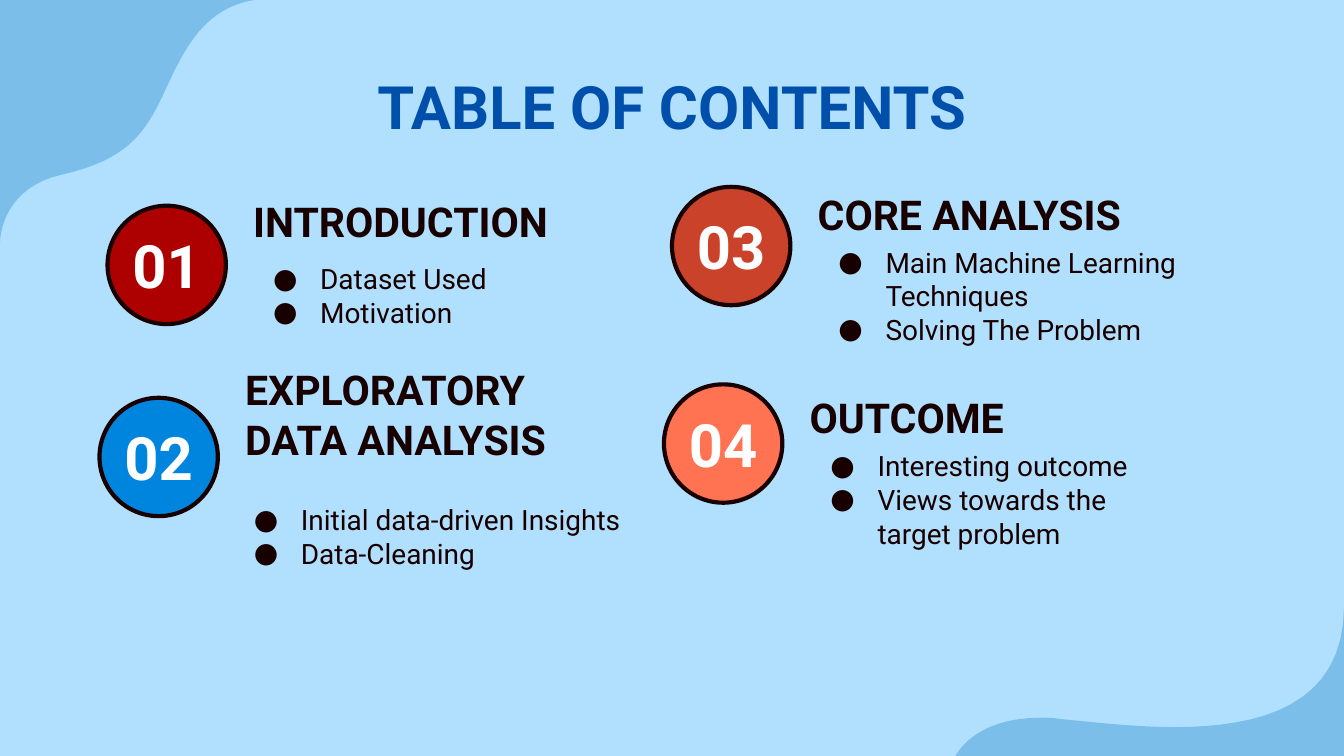
from dataclasses import dataclass

from lxml import etree
from pptx import Presentation
from pptx.dml import color
from pptx.enum import shapes, text
from pptx.oxml import ns
from pptx.util import Pt


@dataclass(frozen=True)
class Theme:
    font: str = "Roboto"
    background: str = "B1E0FF"
    corner: str = "7CBEEA"
    title: str = "004FAB"
    ink: str = "180000"
    number: str = "FFFFFF"
    title_size: float = 32
    heading_size: float = 22
    body_size: float = 15


@dataclass(frozen=True)
class Box:
    left: float
    top: float
    width: float
    height: float

    def lengths(self) -> tuple:
        return Pt(self.left), Pt(self.top), Pt(self.width), Pt(self.height)


@dataclass(frozen=True)
class Section:
    number: str
    fill: str
    circle_left: float
    circle_top: float
    heading: str
    heading_top: float
    bullets: tuple[str, ...]
    body: Box


THEME = Theme()
WIDTH, HEIGHT = 720, 405
CIRCLE = 63.4
HEADING_OFFSET = 71
HEADING_WIDTH, HEADING_HEIGHT = 224, 29.5
INSET = 7.2
BULLET_INDENT, BULLET_HANG = 36, 25.2
CURVE_STEPS = 16

SECTIONS = (
    Section("01", "AD0101", 57.6, 110.2, "INTRODUCTION", 103.7,
            ("Dataset Used", "Motivation"), Box(128.4, 131, 202.3, 54.7)),
    Section("02", "0085DE", 53.3, 213.1, "EXPLORATORY DATA ANALYSIS", 207,
            ("Initial data-driven Insights", "Data-Cleaning"),
            Box(118.1, 237.6, 244.8, 99.4)),
    Section("03", "CA4229", 360, 100.1, "CORE ANALYSIS", 100.1,
            ("Main Machine Learning Techniques", "Solving The Problem"),
            Box(431.3, 121, 258.5, 74.9)),
    Section("04", "FF7352", 355.7, 205.9, "OUTCOME", 208.8,
            ("Interesting outcome", "Views towards the target problem"),
            Box(427, 226.8, 202.3, 81.4)),
)

# Each corner: its slide corner, the start of its edge, and the edge's Bézier segments.
CORNERS = (
    ((0, 0), (0, 130.3), (
        ((0, 123.8), (3.6, 100.1), (33.1, 93.6)),
        ((67.7, 85.7), (77.8, 72), (88.6, 48.2)),
        ((99.4, 24.5), (110.2, 4.3), (136.1, 0)))),
    ((WIDTH, HEIGHT), (WIDTH, 324.7), (
        ((720, 378.7), (673.9, 389.5), (629.3, 389.5)),
        ((606.2, 389.5), (583.9, 386.6), (568.1, 385.2)),
        ((564.5, 384.5), (560.9, 384.5), (557.3, 384.5)),
        ((521.3, 384.5), (511.9, 405), (511.9, 405)))),
)


def rgb(value: str) -> color.RGBColor:
    return color.RGBColor.from_string(value)


def curve_points(start: tuple, segments: tuple) -> list[tuple]:
    """Sample a chain of cubic Bézier segments."""
    points = [start]
    for first, second, end in segments:
        for step in range(1, CURVE_STEPS + 1):
            t = step / CURVE_STEPS
            weights = ((1 - t) ** 3, 3 * t * (1 - t) ** 2, 3 * t * t * (1 - t), t ** 3)
            controls = (start, first, second, end)
            points.append(tuple(sum(w * p[axis] for w, p in zip(weights, controls))
                                for axis in (0, 1)))
        start = end
    return points


def draw_corner(slide, corner: tuple, start: tuple, segments: tuple) -> None:
    builder = slide.shapes.build_freeform(Pt(corner[0]), Pt(corner[1]))
    builder.add_line_segments([(Pt(x), Pt(y)) for x, y in curve_points(start, segments)])
    shape = builder.convert_to_shape()
    shape.shadow.inherit = False
    shape.fill.solid()
    shape.fill.fore_color.rgb = rgb(THEME.corner)
    shape.line.fill.background()


def set_frame(frame, inset: float, anchor) -> None:
    frame.word_wrap = True
    frame.auto_size = text.MSO_AUTO_SIZE.NONE
    frame.vertical_anchor = anchor
    frame.margin_left = frame.margin_right = Pt(inset)
    frame.margin_top = frame.margin_bottom = Pt(inset)


def format_text(frame, size: float, ink: str, bold: bool = False,
                align=text.PP_ALIGN.LEFT) -> None:
    for paragraph in frame.paragraphs:
        paragraph.alignment = align
        for run in paragraph.runs:
            run.font.name = THEME.font
            run.font.size = Pt(size)
            run.font.bold = bold
            run.font.color.rgb = rgb(ink)


def add_bullet(paragraph) -> None:
    properties = paragraph._p.get_or_add_pPr()
    properties.set("marL", str(Pt(BULLET_INDENT)))
    properties.set("indent", str(-Pt(BULLET_HANG)))
    bullet_color = etree.SubElement(properties, ns.qn("a:buClr"))
    etree.SubElement(bullet_color, ns.qn("a:srgbClr"), val=THEME.ink)
    etree.SubElement(properties, ns.qn("a:buFont"), typeface=THEME.font)
    etree.SubElement(properties, ns.qn("a:buChar"), char="●")


def draw_title(slide) -> None:
    title = slide.shapes.title
    title.left, title.top, title.width, title.height = Box(56.7, 30.2, 606.6, 46.8).lengths()
    set_frame(title.text_frame, INSET, text.MSO_ANCHOR.TOP)
    title.text_frame.text = "TABLE OF CONTENTS"
    format_text(title.text_frame, THEME.title_size, THEME.title, True, text.PP_ALIGN.CENTER)


def draw_number(slide, section: Section) -> None:
    box = Box(section.circle_left, section.circle_top, CIRCLE, CIRCLE)
    circle = slide.shapes.add_shape(shapes.MSO_SHAPE.OVAL, *box.lengths())
    circle.shadow.inherit = False
    circle.fill.solid()
    circle.fill.fore_color.rgb = rgb(section.fill)
    circle.line.color.rgb = rgb(THEME.ink)
    circle.line.width = Pt(2.25)
    set_frame(circle.text_frame, 0, text.MSO_ANCHOR.MIDDLE)
    circle.text_frame.text = section.number
    format_text(circle.text_frame, THEME.title_size, THEME.number, True, text.PP_ALIGN.CENTER)


def add_text(slide, box: Box, content: str):
    frame = slide.shapes.add_textbox(*box.lengths()).text_frame
    set_frame(frame, INSET, text.MSO_ANCHOR.MIDDLE)
    frame.text = content
    return frame


def draw_section(slide, section: Section) -> None:
    draw_number(slide, section)
    heading_box = Box(section.circle_left + HEADING_OFFSET, section.heading_top,
                      HEADING_WIDTH, HEADING_HEIGHT)
    heading = add_text(slide, heading_box, section.heading)
    format_text(heading, THEME.heading_size, THEME.ink, True)
    body = add_text(slide, section.body, "\n".join(section.bullets))
    for paragraph in body.paragraphs:
        add_bullet(paragraph)
    format_text(body, THEME.body_size, THEME.ink)


def main() -> None:
    presentation = Presentation()
    presentation.slide_width, presentation.slide_height = Pt(WIDTH), Pt(HEIGHT)
    slide = presentation.slides.add_slide(presentation.slide_layouts.get_by_name("Title Only"))
    slide.background.fill.solid()
    slide.background.fill.fore_color.rgb = rgb(THEME.background)
    for corner, start, segments in CORNERS:
        draw_corner(slide, corner, start, segments)
    draw_title(slide)
    for section in SECTIONS:
        draw_section(slide, section)
    presentation.save("out.pptx")


if __name__ == "__main__":
    main()
